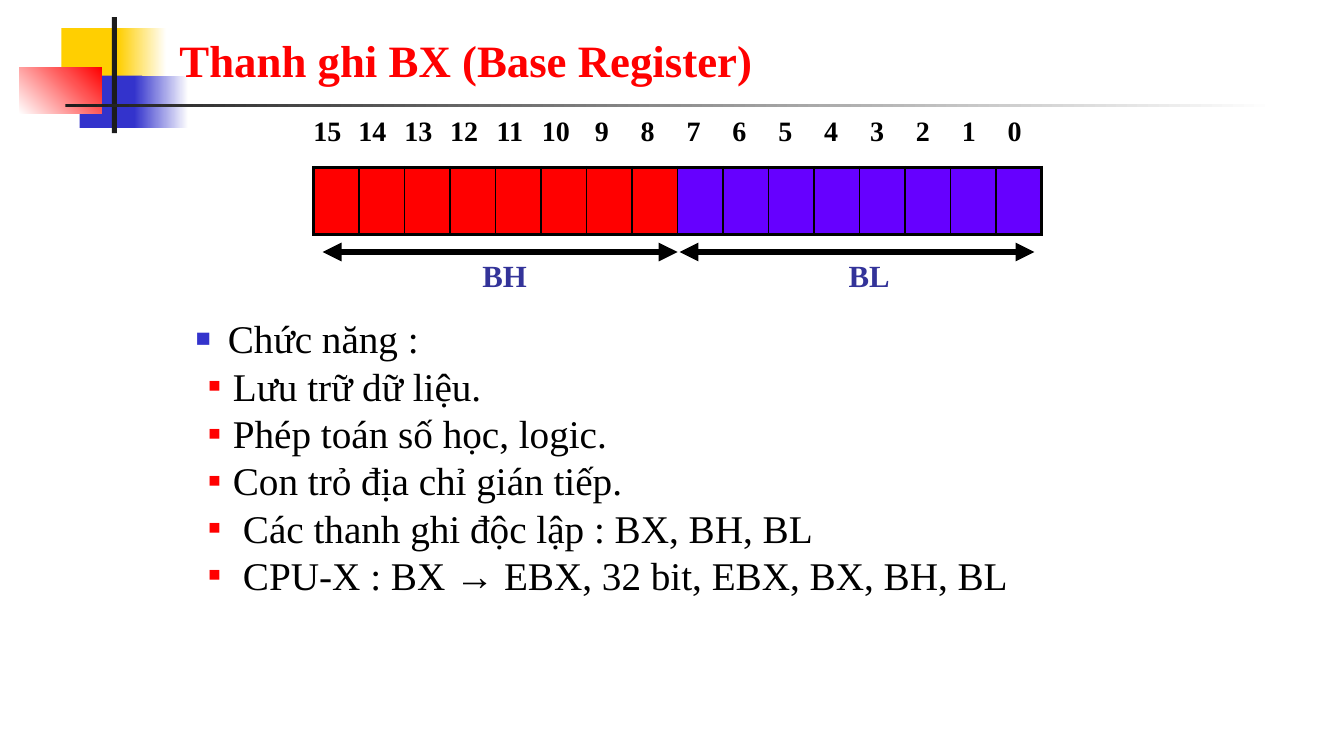
from lxml.etree import SubElement as Sub
from pptx import Presentation
from pptx.dml.color import RGBColor as RGB
from pptx.enum.shapes import MSO_CONNECTOR as LINE, MSO_SHAPE as SHAPE
from pptx.enum.text import MSO_ANCHOR as ANCHOR, MSO_AUTO_SIZE as AUTO, PP_ALIGN as ALIGN
from pptx.oxml.ns import qn
from pptx.util import Inches, Pt

FONT = "Times New Roman"
HUES = {
    "gold": "FFCF01", "blue": "3333CC", "red": "FF0000", "ink": "1C1C1C",
    "black": "000000", "white": "FFFFFF", "low": "6600FF", "label": "333399",
}
DECOR = [
    ((0.61, 0.28, 0.64, 0.52), ["gold"], 0),
    ((1.17, 0.28, 0.48, 0.52), ["gold", "white"], 0),
    ((0.79, 0.75, 0.62, 0.52), ["blue"], 0),
    ((1.33, 0.75, 0.54, 0.52), ["blue", "white"], 0),
    ((0.19, 0.67, 0.82, 0.46), ["white", "red"], 45),
    ((1.11, 0.17, 0.05, 1.15), ["ink"], 0),
    ((0.65, 1.03, 12, 0.03), ["ink", "white"], 0),
]
BITS = 16
STEP = 0.455
ITEMS = [
    ("Chức năng :", "blue", 125, 0.33, 0.33),
    ("Lưu trữ dữ liệu.", "red", 100, 0.38, 0.25),
    ("Phép toán số học, logic.", "red", 100, 0.38, 0.25),
    ("Con trỏ địa chỉ gián tiếp.", "red", 100, 0.38, 0.25),
    ("Các thanh ghi độc lập : BX, BH, BL", "red", 100, 0.48, 0.35),
    ("CPU-X : BX → EBX, 32 bit, EBX, BX, BH, BL", "red", 100, 0.48, 0.35),
]


def tint(name):
    """Return the colour with the given name."""
    return RGB.from_string(HUES[name])


def place(shape, *spot):
    """Move a shape to left, top, width and height in inches."""
    shape.left, shape.top, shape.width, shape.height = map(Inches, spot)


def style(para, size, hue, bold=False):
    """Format the text of a paragraph."""
    para.space_before = Pt(0)
    for run in para.runs:
        font = run.font
        font.name, font.size, font.bold = FONT, Pt(size), bold
        font.color.rgb = tint(hue)


def add_block(slide, spot, hues, angle):
    """Add a plain or graded rectangle."""
    block = slide.shapes.add_shape(SHAPE.RECTANGLE, *map(Inches, spot))
    block.shadow.inherit = False
    block.line.fill.background()
    if len(hues) == 1:
        block.fill.solid()
        block.fill.fore_color.rgb = tint(hues[0])
        return
    block.fill.gradient()
    block.fill.gradient_angle = angle
    for stop, hue in zip(block.fill.gradient_stops, hues):
        stop.color.rgb = tint(hue)


def add_text(slide, spot, text, size, hue, align):
    """Add a line of bold text and return its paragraph."""
    frame = slide.shapes.add_textbox(*map(Inches, spot)).text_frame
    frame.word_wrap = True
    para = frame.paragraphs[0]
    para.text = text
    para.alignment = align
    style(para, size, hue, True)
    return para


def add_bits(slide):
    """Add the bit numbers on evenly spaced centred tabs."""
    text = "\t".join(str(bit) for bit in reversed(range(BITS)))
    para = add_text(slide, (3.01, 1.08, 7.49, 0.43), text, 20, "black", ALIGN.LEFT)
    tabs = Sub(para._p.get_or_add_pPr(), qn("a:tabLst"))
    for col in range(1, BITS):
        Sub(tabs, qn("a:tab"), pos=str(Inches(0.13 + STEP * col)), algn="ctr")


def edge(cell, side, width):
    """Draw one border of a cell."""
    line = Sub(cell._tc.get_or_add_tcPr(), qn("a:" + side), w=str(Pt(width)))
    Sub(Sub(line, qn("a:solidFill")), qn("a:srgbClr"), val=HUES["black"])


def add_cells(slide):
    """Add the register with its high and low halves."""
    spot = map(Inches, (3.11, 1.66, 7.22, 0.67))
    table = slide.shapes.add_table(1, BITS, *spot).table
    table.first_row = table.horz_banding = False
    for col in range(BITS):
        cell = table.cell(0, col)
        edge(cell, "lnL", 2.25 if col == 0 else 1)
        edge(cell, "lnR", 2.25 if col == BITS - 1 else 1)
        edge(cell, "lnT", 2.25)
        edge(cell, "lnB", 2.25)
        cell.fill.solid()
        cell.fill.fore_color.rgb = tint("red" if col < BITS / 2 else "low")


def add_span(slide, left):
    """Add a double-headed arrow under one half."""
    ends = map(Inches, (left, 2.5, left + 3.52, 2.5))
    span = slide.shapes.add_connector(LINE.STRAIGHT, *ends)
    span.line.width = Pt(4.5)
    span.line.color.rgb = tint("black")
    line = span.line._get_or_add_ln()
    for end in ("headEnd", "tailEnd"):
        Sub(line, qn("a:" + end), type="triangle")
    Sub(span._element.spPr, qn("a:effectLst"))


def fill_list(body):
    """Write the list into the body placeholder."""
    place(body, 1.83, 3.07, 9.84, 2.93)
    frame = body.text_frame
    frame.auto_size = AUTO.NONE
    frame.vertical_anchor = ANCHOR.TOP
    frame.text = "\n".join(item[0] for item in ITEMS)
    for para, (_, hue, scale, left, hang) in zip(frame.paragraphs, ITEMS):
        para.level = 0 if hue == "blue" else 1
        para.alignment = ALIGN.JUSTIFY
        para.line_spacing = Pt(33.8)
        style(para, 28, "black")
        props = para._p.get_or_add_pPr()
        props.set("marL", str(Inches(left)))
        props.set("indent", str(-Inches(hang)))
        Sub(Sub(props, qn("a:buClr")), qn("a:srgbClr"), val=HUES[hue])
        Sub(props, qn("a:buSzPct"), val=str(scale * 1000))
        Sub(props, qn("a:buFont"), typeface=FONT)
        Sub(props, qn("a:buChar"), char="▪")


def set_title(title):
    """Write the title and bring it to the front."""
    place(title, 1.68, 0.23, 11.36, 0.68)
    frame = title.text_frame
    frame.text = "Thanh ghi BX (Base Register)"
    frame.auto_size = AUTO.NONE
    frame.vertical_anchor = ANCHOR.BOTTOM
    frame.paragraphs[0].alignment = ALIGN.LEFT
    style(frame.paragraphs[0], 32, "red", True)
    title.element.getparent().append(title.element)


def main():
    """Build and save the slide."""
    deck = Presentation()
    deck.slide_width, deck.slide_height = Inches(13.33), Inches(7.5)
    slide = deck.slides.add_slide(deck.slide_layouts[1])
    fill_list(slide.placeholders[1])
    for spot, hues, angle in DECOR:
        add_block(slide, spot, hues, angle)
    set_title(slide.shapes.title)
    add_bits(slide)
    add_cells(slide)
    for name, left, start, width in (("BH", 3.2, 3.92, 2.17), ("BL", 6.74, 7.67, 1.9)):
        add_span(slide, left)
        add_text(slide, (start, 2.5, width, 0.47), name, 22, "label", ALIGN.CENTER)
    deck.save("out.pptx")


if __name__ == "__main__":
    main()
